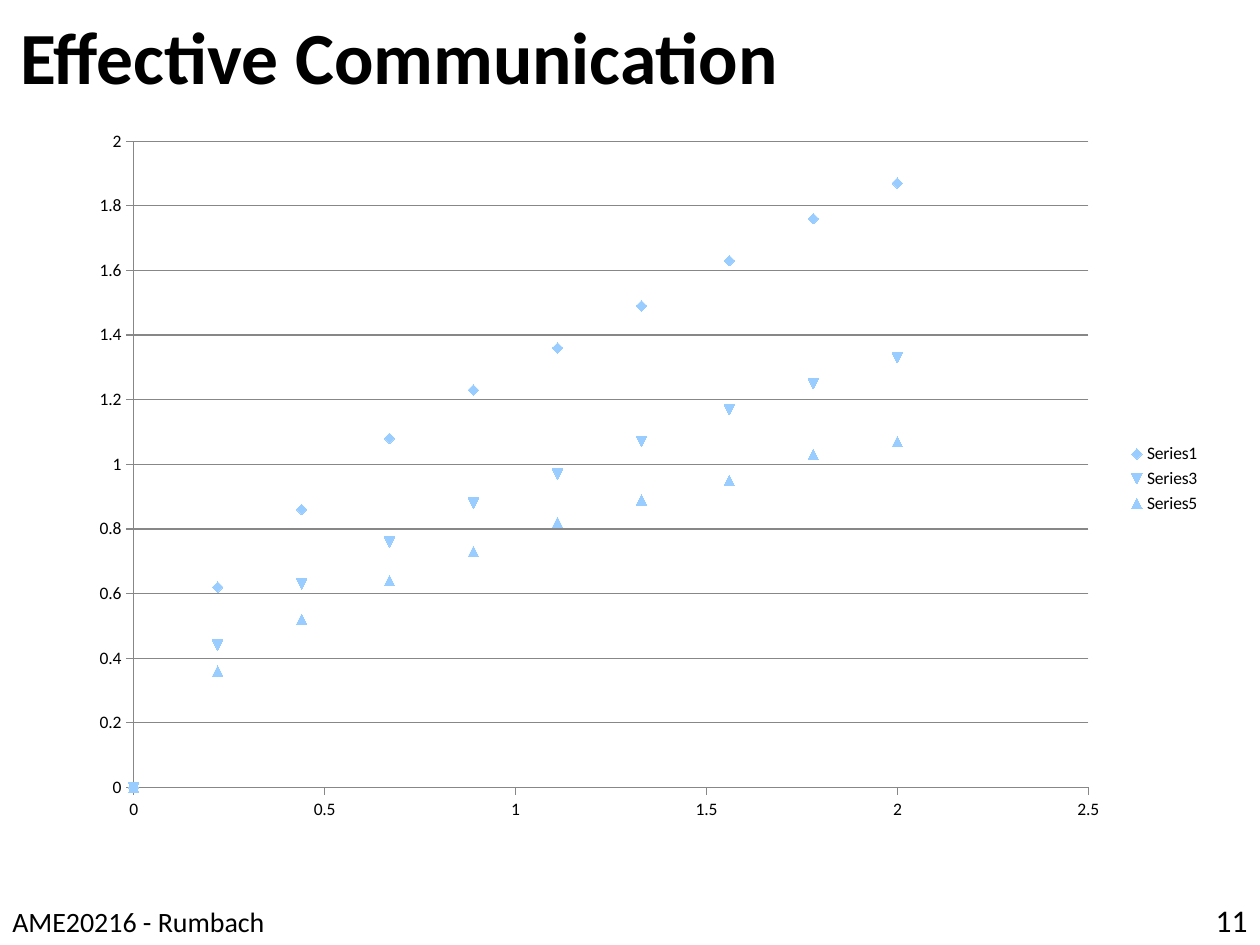
from dataclasses import dataclass

from lxml import etree
from pptx import Presentation
from pptx.chart.data import XyChartData
from pptx.dml.color import RGBColor
from pptx.enum.chart import XL_CHART_TYPE, XL_LEGEND_POSITION, XL_MARKER_STYLE, XL_TICK_MARK
from pptx.enum.text import MSO_ANCHOR, MSO_AUTO_SIZE, PP_ALIGN
from pptx.oxml.ns import qn
from pptx.util import Inches, Pt

SCATTER = XL_CHART_TYPE.XY_SCATTER
DIAMOND = XL_MARKER_STYLE.DIAMOND
AUTOMATIC = XL_MARKER_STYLE.AUTOMATIC
TRIANGLE = XL_MARKER_STYLE.TRIANGLE
LEFT, RIGHT = PP_ALIGN.LEFT, PP_ALIGN.RIGHT

# Content
TITLE = "Effective Communication"
COURSE = "AME20216 - Rumbach"
PAGE_NUMBER = "11"
X_VALUES = [0, 0.22, 0.44, 0.67, 0.89, 1.11, 1.33, 1.56, 1.78, 2]
SERIES = [
    ("Series1", DIAMOND, [0, 0.62, 0.86, 1.08, 1.23, 1.36, 1.49, 1.63, 1.76, 1.87]),
    ("Series3", AUTOMATIC, [0, 0.44, 0.63, 0.76, 0.88, 0.97, 1.07, 1.17, 1.25, 1.33]),
    ("Series5", TRIANGLE, [0, 0.36, 0.52, 0.64, 0.73, 0.82, 0.89, 0.95, 1.03, 1.07]),
]
X_SCALE = (0, 2.5, 0.5)
Y_SCALE = (0, 2, 0.2)

# Places: left, top, width, height in inches; the plot in shares of the chart
TITLE_AREA = (0.06, 0.04, 6.32, 0.81)
CHART_AREA = (0.61, 0.95, 9.02, 5.7)
COURSE_AREA = (0, 7.13, 2.23, 0.37)
NUMBER_AREA = (9.5, 7.1, 0.5, 0.4)
PLOT_SHARES = {"x": 0.05, "y": 0.03, "w": 0.84, "h": 0.9}


@dataclass(frozen=True)
class Theme:
    font: str = "Calibri"
    ink: RGBColor = RGBColor(0, 0, 0)
    rule: RGBColor = RGBColor(0x87, 0x87, 0x87)
    marker: RGBColor = RGBColor(0x99, 0xCC, 0xFF)
    title_size: int = 42
    number_size: int = 18
    course_size: int = 16
    chart_size: int = 10
    marker_size: int = 6


THEME = Theme()


def style_font(font, size, bold=False):
    font.name = THEME.font
    font.size = Pt(size)
    font.bold = bold
    font.color.rgb = THEME.ink


def write_text(box, text, area, size, bold=False, align=LEFT):
    box.left, box.top, box.width, box.height = map(Inches, area)
    frame = box.text_frame
    frame.text = text
    frame.word_wrap = False
    frame.auto_size = MSO_AUTO_SIZE.NONE
    frame.vertical_anchor = MSO_ANCHOR.TOP
    para = frame.paragraphs[0]
    para.alignment = align
    style_font(para.runs[0].font, size, bold)


def style_axis(axis, scale, gridlines):
    axis.minimum_scale, axis.maximum_scale, axis.major_unit = scale
    axis.major_tick_mark = XL_TICK_MARK.OUTSIDE
    axis.minor_tick_mark = XL_TICK_MARK.NONE
    axis.has_major_gridlines = gridlines
    axis.tick_labels.number_format = "General"
    axis.tick_labels.number_format_is_linked = False
    lines = [axis.format.line]
    if gridlines:
        lines.append(axis.major_gridlines.format.line)
    for line in lines:
        line.color.rgb = THEME.rule
        line.width = Pt(0.75)


def place_plot(chart):
    plot_area = chart.plots[0]._element.getparent()
    layout = plot_area.find(qn("c:layout"))
    if layout is None:
        layout = etree.Element(qn("c:layout"))
        plot_area.insert(0, layout)
    manual = etree.SubElement(layout, qn("c:manualLayout"))
    settings = {"layoutTarget": "inner", "xMode": "edge", "yMode": "edge", **PLOT_SHARES}
    for name, value in settings.items():
        etree.SubElement(manual, qn(f"c:{name}")).set("val", str(value))


def add_scatter(page):
    data = XyChartData()
    for name, _, values in SERIES:
        points = data.add_series(name)
        for x, y in zip(X_VALUES, values):
            points.add_data_point(x, y)
    chart = page.shapes.add_chart(SCATTER, *map(Inches, CHART_AREA), data).chart
    chart.has_title = False
    style_font(chart.font, THEME.chart_size)
    chart.has_legend = True
    chart.legend.position = XL_LEGEND_POSITION.RIGHT
    chart.legend.include_in_layout = False
    style_axis(chart.category_axis, X_SCALE, gridlines=False)
    style_axis(chart.value_axis, Y_SCALE, gridlines=True)
    chart.plots[0].vary_by_categories = False
    for series, (_, symbol, _) in zip(chart.plots[0].series, SERIES):
        series.format.line.fill.background()
        marker = series.marker
        marker.style = symbol
        marker.size = THEME.marker_size
        marker.format.fill.solid()
        marker.format.fill.fore_color.rgb = THEME.marker
        marker.format.line.fill.background()
    place_plot(chart)


def main():
    deck = Presentation()
    deck.slide_width, deck.slide_height = Inches(10), Inches(7.5)
    page = deck.slides.add_slide(deck.slide_layouts.get_by_name("Title Only"))

    # Heading and chart
    write_text(page.shapes.title, TITLE, TITLE_AREA, THEME.title_size, bold=True)
    add_scatter(page)

    # Footer
    for text, area, size, align in [
        (COURSE, COURSE_AREA, THEME.course_size, LEFT),
        (PAGE_NUMBER, NUMBER_AREA, THEME.number_size, RIGHT),
    ]:
        box = page.shapes.add_textbox(*map(Inches, area))
        write_text(box, text, area, size, align=align)

    deck.save("out.pptx")


if __name__ == "__main__":
    main()
